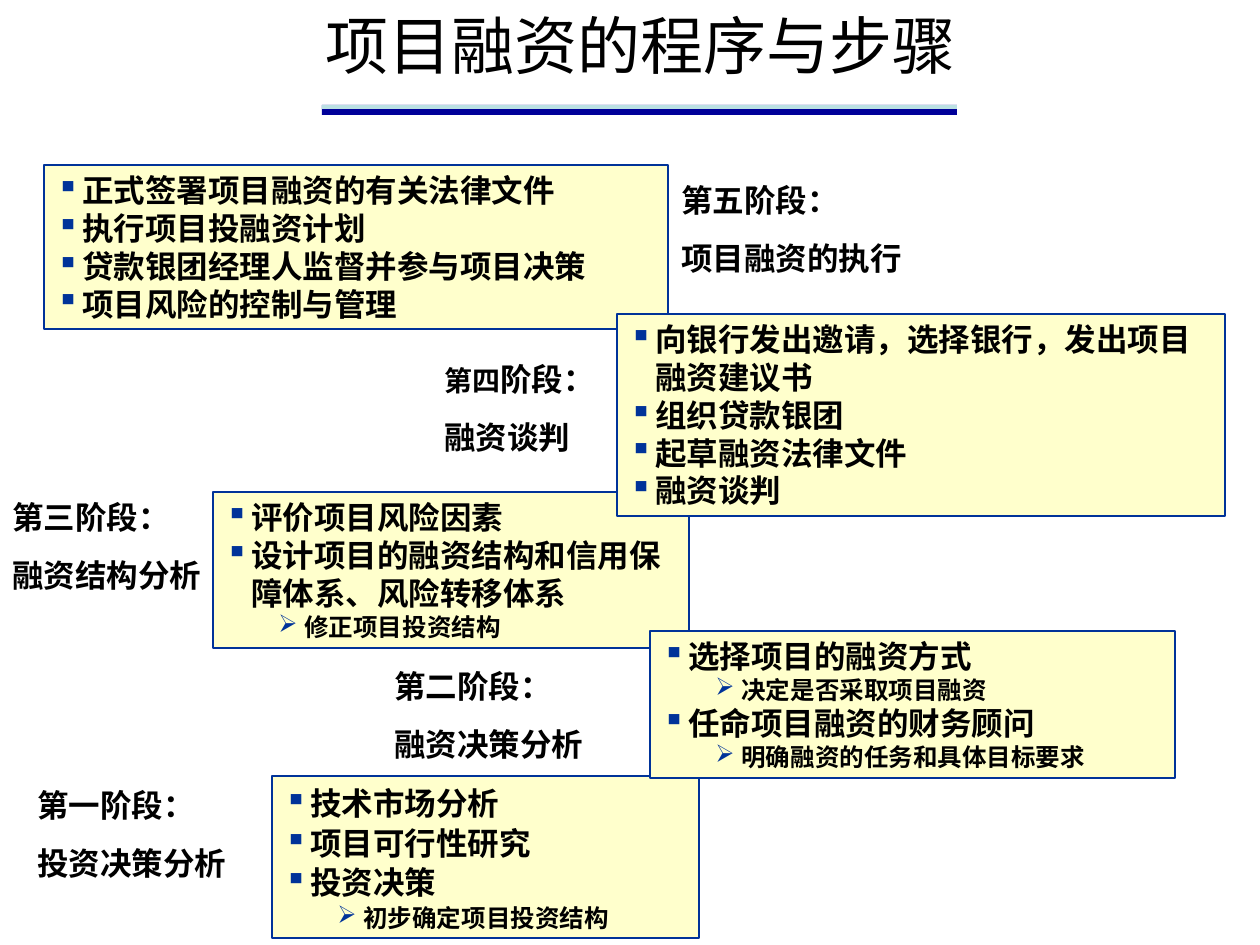
"""Build the slide on the steps of project financing."""
from lxml import etree
from pptx import Presentation
from pptx import util as u
from pptx.dml.color import RGBColor
from pptx.enum import shapes, text
from pptx.oxml import ns

PX = 914400 / 126
COLORS = {"ink": "000000", "bullet": "003399", "edge": "003399",
          "panel": "FFFFCC", "bar": "000099", "bar_light": "BBE0E3"}
# Bullet character, text size and left indent in px for each list level
LEVELS = [("▪", 18, 26), ("➢", 14, 79)]
HANGING = 26


def px(value):
    """Turn pixels into EMU."""
    return u.Emu(round(value * PX))


def color(name):
    """Look up a named colour."""
    return RGBColor.from_string(COLORS[name])


def add_span(para, words, size=18, font="Roboto", bold=True, ink="ink"):
    """Add one formatted run of text to a paragraph."""
    span = para.add_run()
    span.text = words
    span.font.size = u.Pt(size)
    span.font.name = font
    span.font.bold = bold
    span.font.color.rgb = color(ink)


def next_para(frame, index):
    """Return the first paragraph of a frame, or a new one after it."""
    return frame.add_paragraph() if index else frame.paragraphs[0]


def set_bullet(para, level):
    """Give a paragraph the bullet and hanging indent of its level."""
    char, _, indent = LEVELS[level]
    props = para._p.get_or_add_pPr()
    props.set("marL", str(px(indent)))
    props.set("indent", str(-px(HANGING)))
    paint = etree.SubElement(props, ns.qn("a:buClr"))
    etree.SubElement(paint, ns.qn("a:srgbClr"), val=COLORS["bullet"])
    etree.SubElement(props, ns.qn("a:buChar"), char=char)


def add_rect(page, area, fill, edge=None):
    """Add a flat rectangle, outlined if an edge colour is given."""
    box = page.shapes.add_shape(shapes.MSO_SHAPE.RECTANGLE, *map(px, area))
    box.shadow.inherit = False
    box.fill.solid()
    box.fill.fore_color.rgb = color(fill)
    if edge:
        box.line.color.rgb = color(edge)
        box.line.width = u.Pt(0.75)
    else:
        box.line.fill.background()
    return box


def add_panel(page, area, items, spacing=None):
    """Add a panel holding a bulleted list of (level, words) items."""
    frame = add_rect(page, area, "panel", "edge").text_frame
    frame.word_wrap = True
    frame.auto_size = text.MSO_AUTO_SIZE.SHAPE_TO_FIT_TEXT
    frame.vertical_anchor = text.MSO_ANCHOR.TOP
    for index, (level, words) in enumerate(items):
        para = next_para(frame, index)
        para.level = level
        para.alignment = text.PP_ALIGN.LEFT
        if spacing:
            para.line_spacing = spacing
        set_bullet(para, level)
        add_span(para, words, size=LEVELS[level][1])


def add_stage(page, left, top, width, lines):
    """Add a stage label; each line is a list of (words, size) spans."""
    box = page.shapes.add_textbox(*map(px, (left, top, width, 108)))
    frame = box.text_frame
    frame.word_wrap = True
    frame.auto_size = text.MSO_AUTO_SIZE.SHAPE_TO_FIT_TEXT
    for index, spans in enumerate(lines):
        para = next_para(frame, index)
        para.space_before = u.Pt(11.2)
        for words, size in spans:
            add_span(para, words, size=size)


def add_title(page, area, words):
    """Place and fill the title placeholder."""
    title = page.shapes.title
    title.left, title.top, title.width, title.height = map(px, area)
    frame = title.text_frame
    frame.auto_size = text.MSO_AUTO_SIZE.NONE
    frame.vertical_anchor = text.MSO_ANCHOR.MIDDLE
    para = frame.paragraphs[0]
    para.alignment = text.PP_ALIGN.CENTER
    add_span(para, words, size=36, font="Arial", bold=False)


def main():
    """Build and save the deck."""
    deck = Presentation()
    deck.slide_width, deck.slide_height = px(1260), px(945)
    page = deck.slides.add_slide(deck.slide_layouts[5])

    add_title(page, (105, 0, 1071, 89), "项目融资的程序与步骤")
    add_rect(page, (322, 105, 635, 10), "bar")
    add_rect(page, (322, 105, 635, 4), "bar_light")

    add_panel(page, (44, 165, 624, 164), [
        (0, "正式签署项目融资的有关法律文件"),
        (0, "执行项目投融资计划"),
        (0, "贷款银团经理人监督并参与项目决策"),
        (0, "项目风险的控制与管理")])
    add_panel(page, (272, 776, 427, 162), [
        (0, "技术市场分析"),
        (0, "项目可行性研究"),
        (0, "投资决策"),
        (1, "初步确定项目投资结构")], spacing=1.05)
    add_panel(page, (213, 492, 476, 156), [
        (0, "评价项目风险因素"),
        (0, "设计项目的融资结构和信用保障体系、风险转移体系"),
        (1, "修正项目投资结构")])
    add_panel(page, (617, 314, 608, 202), [
        (0, "向银行发出邀请，选择银行，发出项目融资建议书"),
        (0, "组织贷款银团"),
        (0, "起草融资法律文件"),
        (0, "融资谈判")])
    add_panel(page, (650, 631, 525, 147), [
        (0, "选择项目的融资方式"),
        (1, "决定是否采取项目融资"),
        (0, "任命项目融资的财务顾问"),
        (1, "明确融资的任务和具体目标要求")])

    add_stage(page, 25, 780, 244, [[("第一阶段：", 18)], [("投资决策分析", 18)]])
    add_stage(page, 382, 661, 263, [[("第二阶段：", 18)], [("融资决策分析", 18)]])
    add_stage(page, 0, 492, 224, [[("第三阶段：", 18)], [("融资结构分析", 18)]])
    add_stage(page, 432, 354, 208, [[("第四", 16), ("阶段：", 18)], [("融资谈判", 18)]])
    add_stage(page, 669, 175, 318, [[("第五阶段：", 18)], [("项目融资的执行", 18)]])

    deck.save("out.pptx")


if __name__ == "__main__":
    main()
